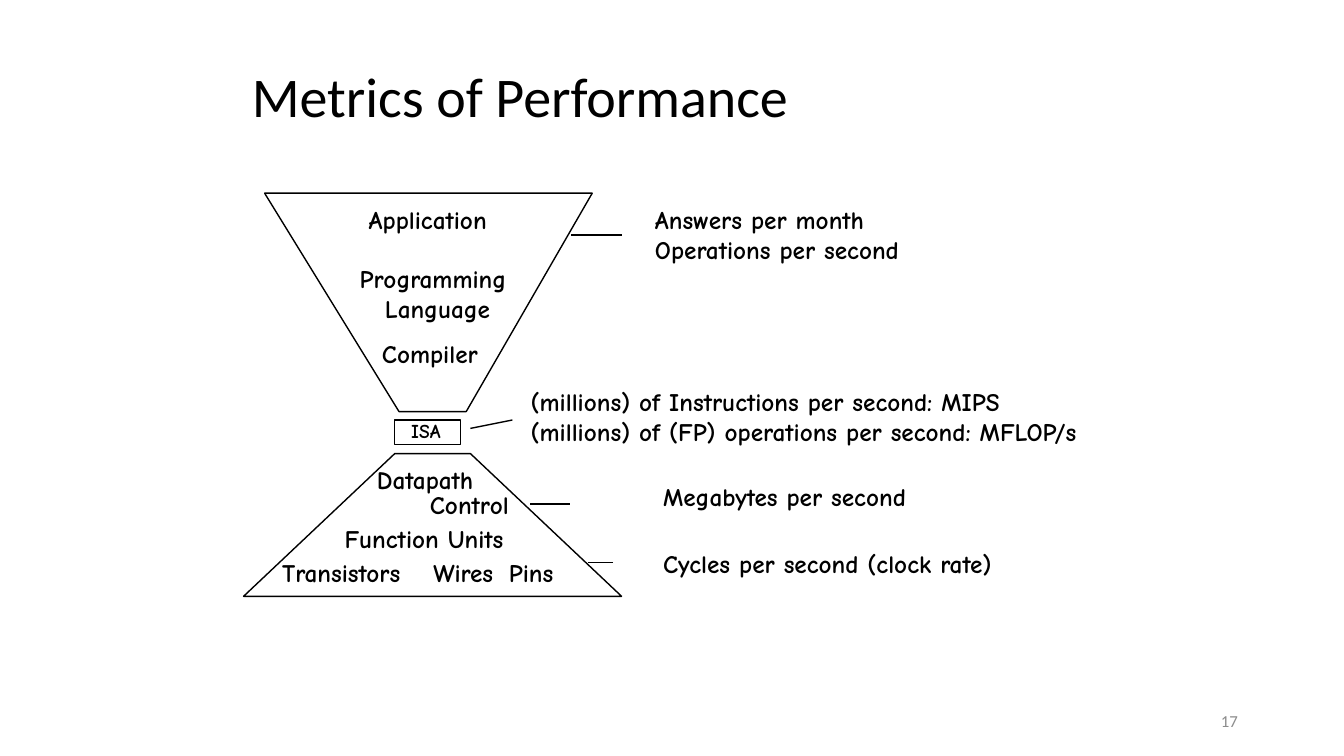
from typing import NamedTuple

from lxml import etree
from pptx import Presentation, util as u
from pptx.dml.color import RGBColor
from pptx.enum import shapes, text
from pptx.oxml.ns import qn

BLACK = RGBColor(0, 0, 0)
WHITE = RGBColor(255, 255, 255)
GREY = RGBColor(0x8C, 0x8C, 0x8C)
CELL = u.Inches(1) // 12
COLS, ROWS = 160, 90
LEFT, MID, RIGHT = text.PP_ALIGN.LEFT, text.PP_ALIGN.CENTER, text.PP_ALIGN.RIGHT


class Label(NamedTuple):
    words: str
    col: float
    row: float
    wide: float
    high: float = 4.8
    size: int = 18
    align: text.PP_ALIGN = LEFT
    wrap: bool = False


class Link(NamedTuple):
    col: float
    row: float
    endcol: float
    endrow: float


FUNNELS = [
    [(47, 54), (29, 71), (74, 71), (56, 54)],
    [(47.5, 49), (31.5, 23), (70.5, 23), (55.5, 49)],
]
LABELS = [
    Label("Application", 42.72, 23.76, 18.24),
    Label("Programming \nLanguage", 41.16, 30.72, 21.84, 8.4, align=MID),
    Label("Compiler", 44.28, 39.72, 14.64),
    Label("ISA", 47.76, 49.32, 7.08, 3.96, 14),
    Label("Datapath", 43.68, 54.72, 15.84),
    Label("Control", 50, 57.72, 12.72),
    Label("Function Units", 39.84, 61.68, 23.28),
    Label("Transistors", 32.4, 65.76, 18.96),
    Label("Wires", 50.4, 65.76, 11.04),
    Label("Pins", 59.4, 65.76, 7.92),
    Label("Answers per month\nOperations per second", 76.8, 23.76, 35.28, 8.4),
    Label("(millions) of Instructions per second: MIPS\n"
          "(millions) of (FP) operations per second: MFLOP/s",
          62, 45.36, 75.96, 8.4, wrap=True),
    Label("Megabytes per second", 77.76, 56.76, 35.16),
    Label("Cycles per second (clock rate)", 77.76, 64.68, 46.92),
]
LINKS = [
    Link(68, 28, 74, 28),
    Link(56, 51, 61, 50),
    Link(63.1, 60, 67.9, 60),
    Link(73, 67, 70, 67),
]


def grid(*cells: float) -> list[int]:
    return [round(cell * CELL) for cell in cells]


def style(shape) -> None:
    shape.shadow.inherit = False
    shape.fill.solid()
    shape.fill.fore_color.rgb = WHITE
    shape.line.color.rgb = BLACK
    shape.line.width = u.Pt(1)


def write(slide, words: str, *, box: tuple, size: int, font: str = "Comic Neue",
          color: RGBColor = BLACK, bold: bool = False, align=LEFT,
          wrap: bool = True, grow: bool = False, mid: bool = False,
          space: float | None = None) -> None:
    frame = slide.shapes.add_textbox(*grid(*box)).text_frame
    frame.text = words
    frame.word_wrap = wrap
    if grow:
        frame.auto_size = text.MSO_AUTO_SIZE.SHAPE_TO_FIT_TEXT
    if mid:
        frame.vertical_anchor = text.MSO_ANCHOR.MIDDLE
    for para in frame.paragraphs:
        para.alignment = align
        if space:
            para.line_spacing = space
        for run in para.runs:
            run.font.name = font
            run.font.size = u.Pt(size)
            run.font.bold = bold
            run.font.color.rgb = color


def funnel(slide, points: list[tuple]) -> None:
    start, *rest = [grid(*point) for point in points]
    form = slide.shapes.build_freeform(*start)
    form.add_line_segments(rest, close=True)
    style(form.convert_to_shape())


def link(slide, item: Link) -> None:
    line = slide.shapes.add_connector(shapes.MSO_CONNECTOR.STRAIGHT, *grid(*item))
    line.line.color.rgb = BLACK
    line.line.width = u.Pt(1)
    etree.SubElement(line._element.spPr, qn("a:effectLst"))


def main() -> None:
    deck = Presentation()
    deck.slide_width, deck.slide_height = grid(COLS, ROWS)
    slide = deck.slides.add_slide(deck.slide_layouts[6])
    write(slide, "Metrics of Performance", box=(28.8, 5.3, 102, 15),
          size=40, font="Calibri", mid=True, space=0.5)
    for points in FUNNELS:
        funnel(slide, points)
    style(slide.shapes.add_shape(shapes.MSO_SHAPE.RECTANGLE, *grid(47, 50, 7.8, 2.9)))
    for item in LABELS:
        write(slide, item.words, box=(item.col, item.row, item.wide, item.high),
              size=item.size, bold=True, align=item.align, wrap=item.wrap, grow=True)
    for item in LINKS:
        link(slide, item)
    write(slide, "17 ", box=(113, 83.4, 36, 4.8), size=12, font="Calibri",
          color=GREY, align=RIGHT, mid=True)
    deck.save("out.pptx")


if __name__ == "__main__":
    main()
